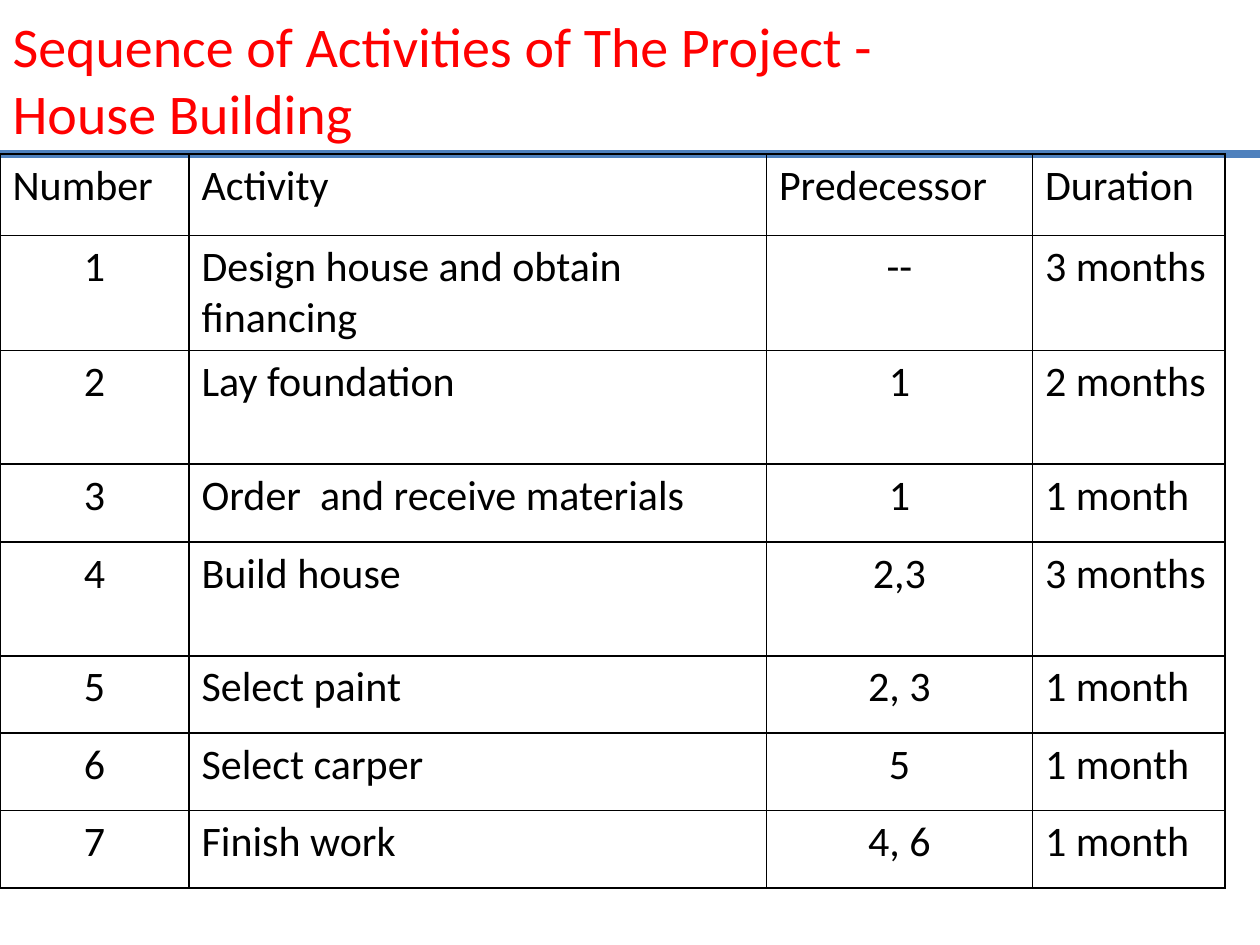
from dataclasses import dataclass

from lxml import etree
from pptx import Presentation
from pptx.dml.color import RGBColor
from pptx.enum.shapes import MSO_CONNECTOR
from pptx.enum.text import MSO_ANCHOR, PP_ALIGN
from pptx.oxml.ns import qn
from pptx.util import Pt

LEFT, CENTER = PP_ALIGN.LEFT, PP_ALIGN.CENTER
MIDDLE = MSO_ANCHOR.MIDDLE
STRAIGHT = MSO_CONNECTOR.STRAIGHT


@dataclass(frozen=True)
class Theme:
    font: str = "Calibri"
    title_size: int = 32
    body_size: int = 24
    title: str = "FF0000"
    text: str = "000000"
    rule: str = "4F81BD"
    border: str = "000000"
    rule_width: float = 4.5
    border_width: float = 1


THEME = Theme()
SLIDE_W, SLIDE_H = 720, 540
RULE_Y = 88
COL_WIDTHS = [108, 330, 152, 110]
ROW_HEIGHTS = [46.5, 65.5, 65, 44.5, 65, 44.25, 44.25, 44.25]
CENTERED_COLS = (0, 2)

TITLE = "Sequence of Activities of The Project - \vHouse Building"
ROWS = [
    ("Number", "Activity", "Predecessor", "Duration"),
    ("1", "Design house and obtain financing", "--", "3 months"),
    ("2", "Lay foundation", "1", "2 months"),
    ("3", "Order  and receive materials", "1", "1 month"),
    ("4", "Build house", "2,3", "3 months"),
    ("5", "Select paint", "2, 3", "1 month"),
    ("6", "Select carper", "5", "1 month"),
    ("7", "Finish work", "4, 6", "1 month"),
]


def set_attrs(obj, values):
    for name, value in values.items():
        setattr(obj, name, value)


def format_paragraph(p, size, color, align):
    p.alignment = align
    for r in p.runs:
        set_attrs(r.font, {"name": THEME.font, "size": Pt(size), "bold": False})
        r.font.color.rgb = RGBColor.from_string(color)


def add_title(s, x, y, w, h):
    sp = s.shapes.title
    set_attrs(sp, {"left": Pt(x), "top": Pt(y), "width": Pt(w), "height": Pt(h)})
    tf = sp.text_frame
    tf.text = TITLE
    set_attrs(tf, {"word_wrap": True, "vertical_anchor": MIDDLE})
    format_paragraph(tf.paragraphs[0], THEME.title_size, THEME.title, LEFT)


def add_rule(s, x, y, w):
    line = s.shapes.add_connector(STRAIGHT, Pt(x), Pt(y), Pt(x + w), Pt(y))
    line.line.color.rgb = RGBColor.from_string(THEME.rule)
    line.line.width = Pt(THEME.rule_width)
    etree.SubElement(line._element.spPr, qn("a:effectLst"))


def set_borders(cell):
    tc_pr = cell._tc.get_or_add_tcPr()
    for i, side in enumerate(("lnL", "lnR", "lnT", "lnB")):
        ln = etree.Element(qn(f"a:{side}"), w=str(Pt(THEME.border_width)))
        fill = etree.SubElement(ln, qn("a:solidFill"))
        etree.SubElement(fill, qn("a:srgbClr"), val=THEME.border)
        tc_pr.insert(i, ln)  # borders come before the fill


def add_activity_table(s, x, y, w, h):
    frame = s.shapes.add_table(len(ROWS), len(COL_WIDTHS), Pt(x), Pt(y), Pt(w), Pt(h))
    table = frame.table
    set_attrs(table, {"first_row": False, "horz_banding": False})
    for col, width in zip(table.columns, COL_WIDTHS):
        col.width = Pt(width)
    for row, height, texts in zip(table.rows, ROW_HEIGHTS, ROWS):
        row.height = Pt(height)
        for c, (cell, text) in enumerate(zip(row.cells, texts)):
            cell.text = text
            cell.fill.background()
            set_borders(cell)
            centered = c in CENTERED_COLS and texts is not ROWS[0]
            format_paragraph(cell.text_frame.paragraphs[0], THEME.body_size,
                             THEME.text, CENTER if centered else LEFT)


def main():
    prs = Presentation()
    set_attrs(prs, {"slide_width": Pt(SLIDE_W), "slide_height": Pt(SLIDE_H)})
    s = prs.slides.add_slide(prs.slide_layouts[5])

    # Heading and the rule below it
    add_title(s, 0, 0, 648, 90)
    add_rule(s, 0, RULE_Y, SLIDE_W)

    # Activities with predecessors and durations
    add_activity_table(s, 0, RULE_Y, sum(COL_WIDTHS), sum(ROW_HEIGHTS))

    prs.save("out.pptx")


if __name__ == "__main__":
    main()
